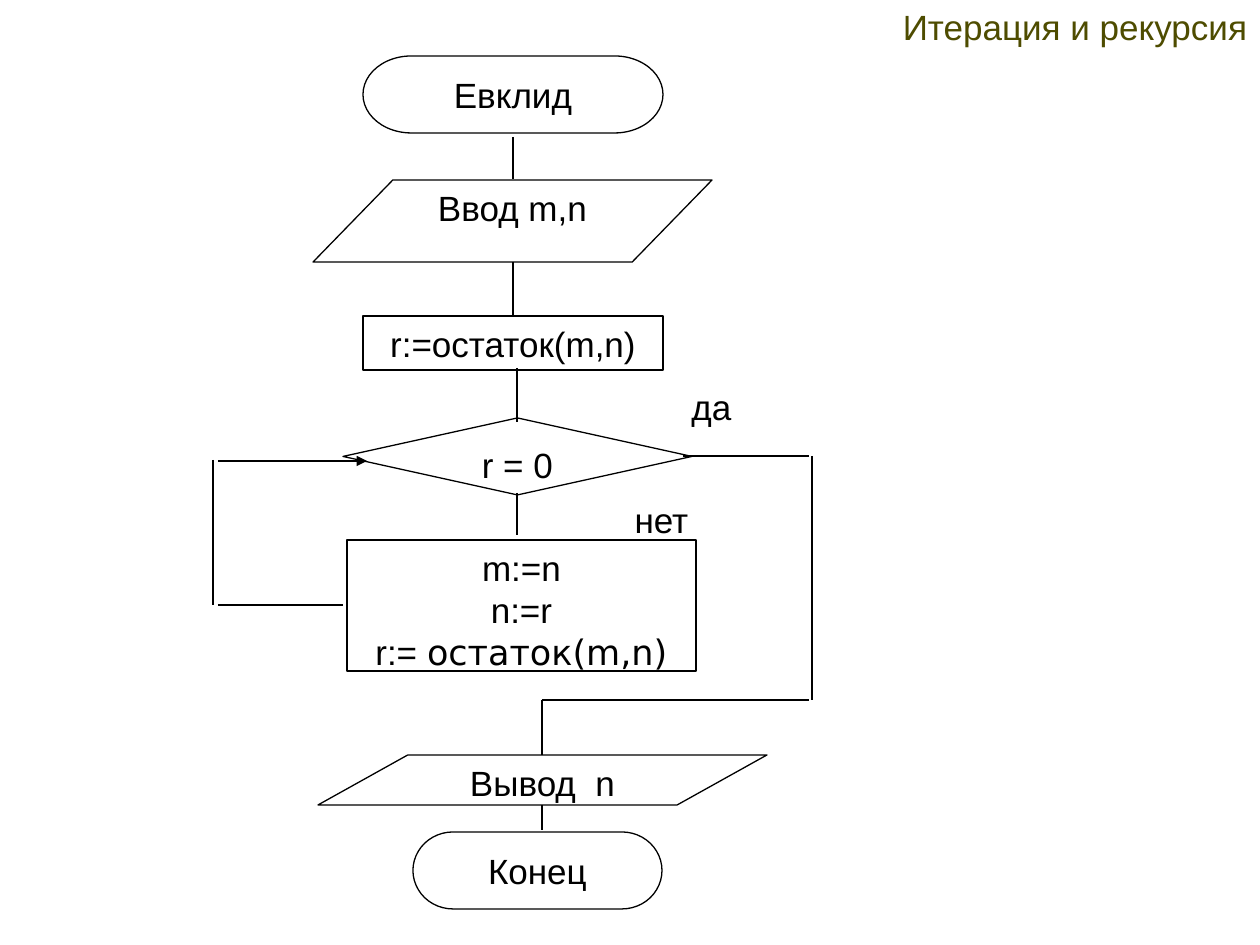
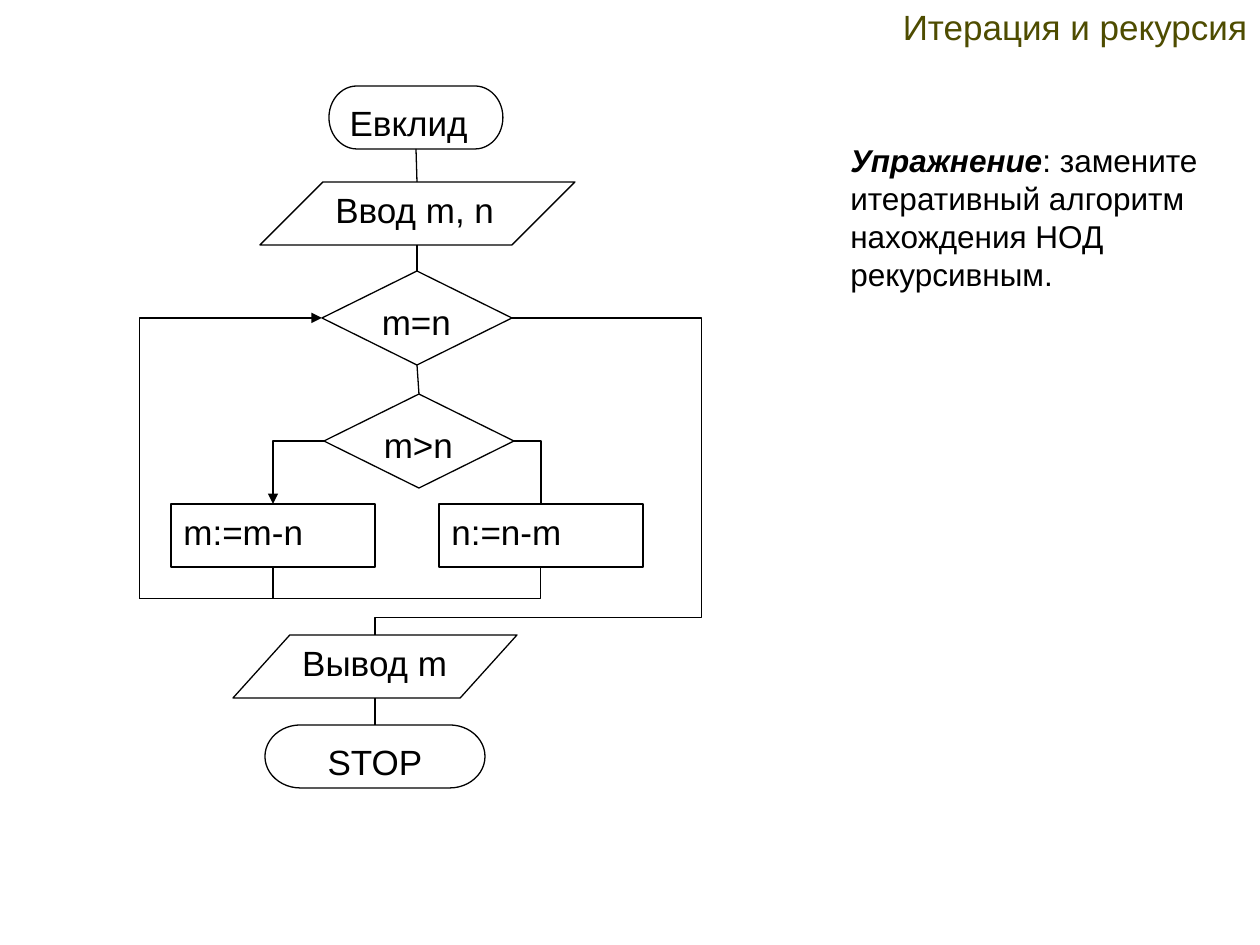
from dataclasses import dataclass

from lxml import etree
from pptx import Presentation
from pptx.dml.color import RGBColor
from pptx.enum.shapes import MSO_CONNECTOR, MSO_SHAPE
from pptx.enum.text import MSO_ANCHOR, MSO_AUTO_SIZE, PP_ALIGN
from pptx.oxml.ns import qn
from pptx.util import Inches, Pt

STRAIGHT, ELBOW = MSO_CONNECTOR.STRAIGHT, MSO_CONNECTOR.ELBOW
TERMINATOR = MSO_SHAPE.FLOWCHART_TERMINATOR
IN_OUT = MSO_SHAPE.FLOWCHART_DATA
PROCESS = MSO_SHAPE.FLOWCHART_PROCESS
DECISION = MSO_SHAPE.FLOWCHART_DECISION
LEFT, CENTER, RIGHT = PP_ALIGN.LEFT, PP_ALIGN.CENTER, PP_ALIGN.RIGHT
TOP_SIDE, LEFT_SIDE, BOTTOM_SIDE, RIGHT_SIDE = range(4)
IN_OUT_TOP = 1  # a parallelogram counts its connection sites differently
TITLE_ONLY = 5
PX = Inches(1) / 126


@dataclass(frozen=True)
class Theme:
    ink: RGBColor = RGBColor(0, 0, 0)
    paper: RGBColor = RGBColor(255, 255, 255)
    title: RGBColor = RGBColor(0x4E, 0x4C, 0x00)
    font: str = "Arial"
    fallback_font: str = "DejaVu Sans"
    size: Pt = Pt(20)
    note_size: Pt = Pt(18)
    line: Pt = Pt(0.75)


THEME = Theme()


def px(*lengths):
    return [round(length * PX) for length in lengths]


def write(shape, text, align, size=THEME.size, color=THEME.ink, anchor=MSO_ANCHOR.TOP):
    """Fill a shape with text in the deck's style, one paragraph a line."""
    frame = shape.text_frame
    frame.text = text
    frame.word_wrap = True
    frame.auto_size = MSO_AUTO_SIZE.NONE
    frame.vertical_anchor = anchor
    for paragraph in frame.paragraphs:
        paragraph.alignment = align
        paragraph.font.name = THEME.font
        paragraph.font.size = size
        paragraph.font.color.rgb = color


# Steps: key -> (preset, text, alignment, (left, top, width, height))
# Lines: (start and end point, joined start, joined end, arrowhead)
# Bends: (frame, (degrees, flipH, flipV), adjustments, joined start, joined end, arrowhead)
remainder_chart = {
    "steps": {
        "input": (IN_OUT, "Ввод m,n", CENTER, (313, 180, 399, 82)),
        "remainder": (PROCESS, "r:=остаток(m,n)", CENTER, (363, 316, 300, 54)),
        "start": (TERMINATOR, "Евклид", CENTER, (363, 56, 300, 77)),
        "is zero": (DECISION, "r = 0", CENTER, (343, 418, 349, 77)),
        "shift": (PROCESS, "m:=n\nn:=r\nr:= ", CENTER, (347, 540, 349, 131)),
        "output": (IN_OUT, "Вывод  n", CENTER, (318, 755, 449, 50)),
        "end": (TERMINATOR, "Конец", CENTER, (413, 832, 249, 77)),
    },
    "lines": [
        ((513, 137, 513, 179), None, None, False),
        ((513, 262, 513, 316), None, ("remainder", TOP_SIDE), False),
        ((517, 368, 517, 422), None, None, False),
        ((517, 493, 517, 535), None, None, False),
        ((683, 456, 809, 456), None, None, False),
        ((812, 456, 812, 700), None, None, False),
        ((542, 700, 809, 700), None, None, False),
        ((542, 700, 542, 755), None, None, False),
        ((542, 805, 542, 830), None, None, False),
        ((218, 605, 343, 605), None, None, False),
        ((213, 460, 213, 605), None, None, False),
        ((218, 461, 367, 461), None, None, True),
    ],
    "bends": [],
    "labels": [
        ("да", LEFT, (679, 379, 150, 52)),
        ("нет", CENTER, (562, 492, 199, 52)),
    ],
}
subtraction_chart = {
    "steps": {
        "start": (TERMINATOR, "Евклид", LEFT, (329, 86, 174, 63)),
        "input": (IN_OUT, "Ввод m, n", LEFT, (260, 182, 315, 63)),
        "equal": (DECISION, "m=n", LEFT, (322, 271, 190, 94)),
        "greater": (DECISION, "m>n", LEFT, (324, 394, 190, 94)),
        "reduce n": (PROCESS, "n:=n-m", LEFT, (439, 504, 204, 63)),
        "reduce m": (PROCESS, "m:=m-n", LEFT, (171, 504, 204, 63)),
        "output": (IN_OUT, "Вывод m", LEFT, (233, 635, 284, 63)),
        "stop": (TERMINATOR, "STOP", CENTER, (265, 725, 220, 63)),
    },
    "lines": [
        ((416, 149, 417, 182), ("start", BOTTOM_SIDE), None, False),
        ((417, 245, 417, 271), None, ("equal", TOP_SIDE), False),
        ((417, 365, 419, 394), ("equal", BOTTOM_SIDE), ("greater", TOP_SIDE), False),
        ((375, 698, 375, 725), None, ("stop", TOP_SIDE), False),
    ],
    "bends": [
        ((514, 441, 27, 63), (0, 0, 0), [],
         ("greater", RIGHT_SIDE), ("reduce n", TOP_SIDE), False),
        ((273, 441, 51, 63), (180, 0, 1), [],
         ("greater", LEFT_SIDE), ("reduce m", TOP_SIDE), True),
        ((173, 418, 249, 49), (90, 1, 1), [-12700, -272200],
         ("reduce m", BOTTOM_SIDE), ("equal", LEFT_SIDE), True),
        ((324, 382, 31, 402), (90, 0, 0), [],
         ("reduce n", BOTTOM_SIDE), None, False),
        ((375, 318, 137, 317), (0, 1, 0), [-138600, 94600],
         ("equal", RIGHT_SIDE), ("output", IN_OUT_TOP), False),
    ],
    "labels": [],
}

deck = Presentation()
deck.slide_width, deck.slide_height = Inches(10), Inches(7.5)

drawn_charts = []
for chart in (remainder_chart, subtraction_chart):
    slide = deck.slides.add_slide(deck.slide_layouts[TITLE_ONLY])
    title = slide.shapes.title
    title.left, title.top, title.width, title.height = px(126, 16, 1134, 38)
    write(title, "Итерация и рекурсия", RIGHT, color=THEME.title, anchor=MSO_ANCHOR.BOTTOM)

    steps = {}
    for key, (preset, text, align, box) in chart["steps"].items():
        step = slide.shapes.add_shape(preset, *px(*box))
        step.shadow.inherit = False
        step.fill.solid()
        step.fill.fore_color.rgb = THEME.paper
        step.line.color.rgb = THEME.ink
        step.line.width = THEME.line
        write(step, text, align)
        steps[key] = step

    routes = [(STRAIGHT, ends, None, [], *rest) for ends, *rest in chart["lines"]]
    routes += [(ELBOW, *bend) for bend in chart["bends"]]
    for kind, place, turn, adjustments, joined_start, joined_end, has_arrow in routes:
        route = slide.shapes.add_connector(kind, *px(*place))
        route.line.color.rgb = THEME.ink
        route.line.width = THEME.line
        properties = route._element.spPr
        etree.SubElement(properties, qn("a:effectLst"))
        if joined_start:
            key, side = joined_start
            route.begin_connect(steps[key], side)
        if joined_end:
            key, side = joined_end
            route.end_connect(steps[key], side)
        if has_arrow:
            etree.SubElement(route.line._get_or_add_ln(), qn("a:tailEnd"), type="triangle")
        if turn:
            degrees, flip_h, flip_v = turn
            route.left, route.top, route.width, route.height = px(*place)
            frame = properties.find(qn("a:xfrm"))
            frame.set("rot", str(degrees * 60000))
            frame.set("flipH", str(flip_h))
            frame.set("flipV", str(flip_v))
            geometry = properties.find(qn("a:prstGeom"))
            geometry.set("prst", f"bentConnector{2 + len(adjustments)}")
            guides = geometry.find(qn("a:avLst"))
            for number, value in enumerate(adjustments, start=1):
                etree.SubElement(guides, qn("a:gd"), name=f"adj{number}", fmla=f"val {value}")

    for text, align, box in chart["labels"]:
        write(slide.shapes.add_textbox(*px(*box)), text, align)
    drawn_charts.append((slide, steps))

(_, remainder_steps), (exercise_slide, _) = drawn_charts

remainder_call = remainder_steps["shift"].text_frame.paragraphs[-1].add_run()
remainder_call.text = "остаток(m,n)"
remainder_call.font.name = THEME.fallback_font

exercise = exercise_slide.shapes.add_textbox(*px(838, 135, 377, 164))
write(exercise, "Упражнение", LEFT, THEME.note_size)
exercise_text = exercise.text_frame.paragraphs[0]
exercise_text.space_before = Pt(11.2)
exercise_text.runs[0].font.bold = True
exercise_text.runs[0].font.italic = True
exercise_text.add_run().text = ": замените итеративный алгоритм нахождения НОД рекурсивным."

deck.save("out.pptx")
